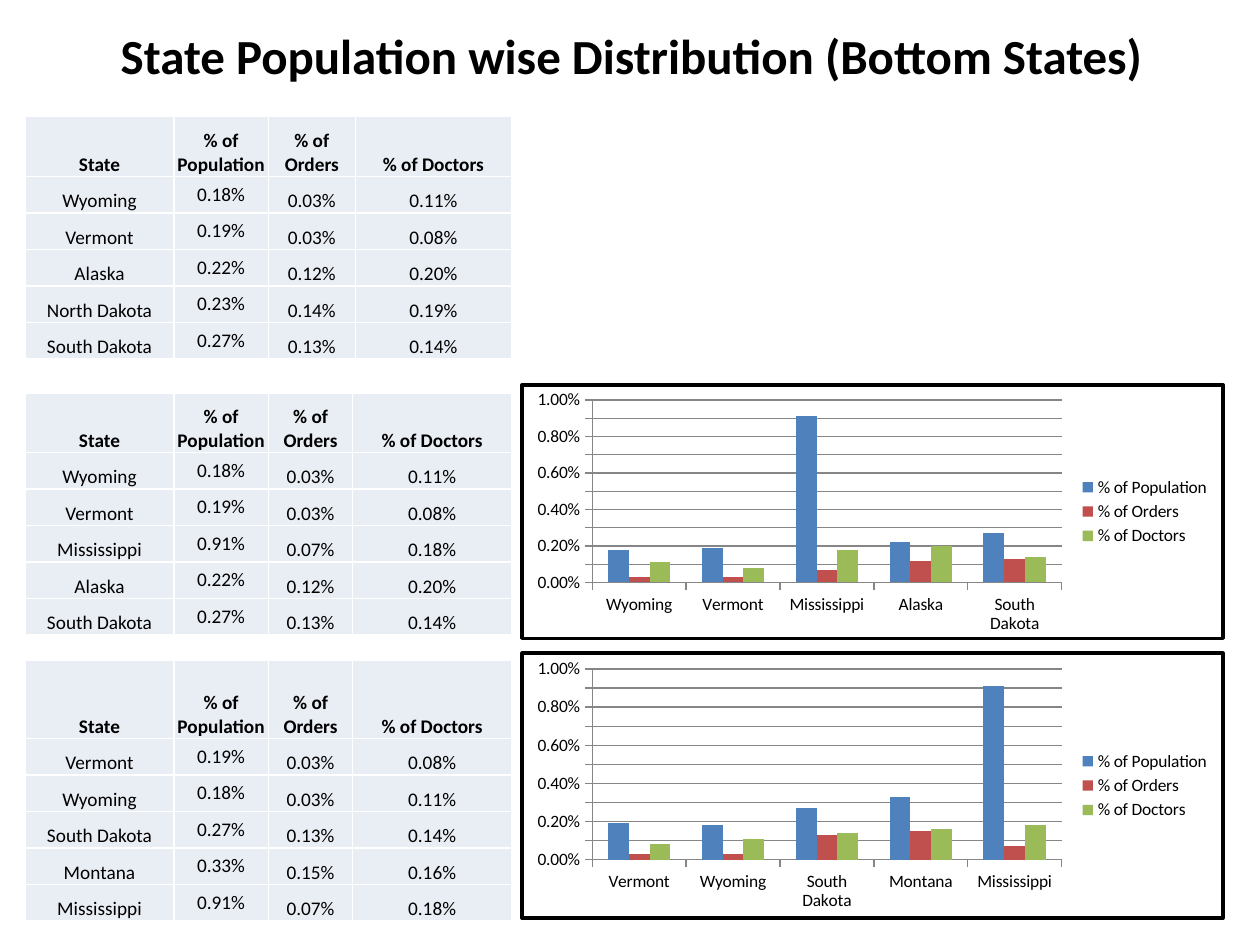
from lxml.etree import SubElement
from pptx import Presentation
from pptx.chart.data import CategoryChartData
from pptx.dml.color import RGBColor
from pptx.enum.chart import XL_CHART_TYPE, XL_LEGEND_POSITION, XL_TICK_MARK
from pptx.enum.text import MSO_ANCHOR, PP_ALIGN
from pptx.oxml import parse_xml
from pptx.oxml.ns import nsdecls, qn
from pptx.util import Inches, Pt


def rgb(value):
    return RGBColor.from_string(value)


def style_text(tf, size, bold):
    p = tf.paragraphs[0]
    p.alignment = PP_ALIGN.CENTER
    font = p.runs[0].font
    font.name, font.size, font.bold = "Calibri", Pt(size), bold
    font.color.rgb = rgb("000000")


HEADERS = ["State", "% of Population", "% of Orders", "% of Doctors"]
SERIES_COLORS = ["4F81BD", "C0504D", "9BBB59"]

# Percentages of population, orders and doctors
STATES = {
    "Wyoming": (0.18, 0.03, 0.11),
    "Vermont": (0.19, 0.03, 0.08),
    "Alaska": (0.22, 0.12, 0.20),
    "North Dakota": (0.23, 0.14, 0.19),
    "South Dakota": (0.27, 0.13, 0.14),
    "Mississippi": (0.91, 0.07, 0.18),
    "Montana": (0.33, 0.15, 0.16),
}

# Table top, header height, column widths, states, chart top and height
PANELS = [
    (0.92, 0.48, [1.18, 0.75, 0.69, 1.24],
     ["Wyoming", "Vermont", "Alaska", "North Dakota", "South Dakota"], None),
    (3.12, 0.47, [1.18, 0.75, 0.67, 1.26],
     ["Wyoming", "Vermont", "Mississippi", "Alaska", "South Dakota"], (3.04, 2.04)),
    (5.24, 0.62, [1.18, 0.75, 0.67, 1.26],
     ["Vermont", "Wyoming", "South Dakota", "Montana", "Mississippi"], (5.17, 2.13)),
]
ROW_HEIGHT = 0.29

prs = Presentation()
prs.slide_width, prs.slide_height = Inches(10), Inches(7.5)
s = prs.slides.add_slide(prs.slide_layouts[6])

# Title
sp = s.shapes.add_textbox(Inches(0.51), Inches(0.13), Inches(9), Inches(0.61))
tf = sp.text_frame
tf.word_wrap = True
tf.vertical_anchor = MSO_ANCHOR.MIDDLE
tf.text = "State Population wise Distribution (Bottom States)"
style_text(tf, 28, True)

for top, header_height, widths, states, chart_box in PANELS:
    # Table
    rows = [HEADERS] + [[name] + [f"{v:.2f}%" for v in STATES[name]] for name in states]
    heights = [header_height] + [ROW_HEIGHT] * len(states)
    table = s.shapes.add_table(
        len(rows), len(widths), Inches(0.2), Inches(top),
        Inches(sum(widths)), Inches(sum(heights))).table
    table.horz_banding = False
    for column, width in zip(table.columns, widths):
        column.width = Inches(width)
    for i, values in enumerate(rows):
        table.rows[i].height = Inches(heights[i])
        for j, value in enumerate(values):
            cell = table.cell(i, j)
            cell.text = value
            style_text(cell.text_frame, 11, i == 0)
            cell.vertical_anchor = MSO_ANCHOR.BOTTOM
            cell.margin_left = cell.margin_right = Inches(0.01)
            population = i > 0 and j == 1
            cell.margin_top = Inches(0.05 if population else 0.01)
            cell.margin_bottom = Inches(0.05 if population else 0)
            # White borders come before the fill in the cell properties
            tcPr = cell._tc.get_or_add_tcPr()
            for side in ("a:lnL", "a:lnR", "a:lnT", "a:lnB"):
                ln = SubElement(tcPr, qn(side), w=str(Pt(1)))
                SubElement(SubElement(ln, qn("a:solidFill")), qn("a:srgbClr"), val="FFFFFF")
            cell.fill.solid()
            cell.fill.fore_color.rgb = rgb("E9EDF4")

    if chart_box is None:
        continue

    # Chart of the same states
    data = CategoryChartData(number_format="0.00%")
    data.categories = states
    for k, name in enumerate(HEADERS[1:]):
        data.add_series(name, [round(STATES[state][k] / 100, 4) for state in states])
    chart_top, chart_height = chart_box
    chart = s.shapes.add_chart(
        XL_CHART_TYPE.COLUMN_CLUSTERED, Inches(4.13), Inches(chart_top),
        Inches(5.59), Inches(chart_height), data).chart
    chart.has_title = False
    chart.font.name, chart.font.size = "Calibri", Pt(10)
    chart.font.color.rgb = rgb("000000")
    chart.has_legend = True
    chart.legend.position = XL_LEGEND_POSITION.RIGHT
    chart.legend.include_in_layout = False

    plot = chart.plots[0]
    plot.gap_width, plot.overlap, plot.vary_by_categories = 150, 0, False
    for series, color in zip(plot.series, SERIES_COLORS):
        series.format.fill.solid()
        series.format.fill.fore_color.rgb = rgb(color)

    axis = chart.value_axis
    axis.minimum_scale, axis.maximum_scale, axis.major_unit = 0, 0.01, 0.001
    axis.tick_labels.number_format = "0.00%"
    axis.tick_labels.number_format_is_linked = False
    axis.has_major_gridlines = True
    for line in (axis.format.line, axis.major_gridlines.format.line,
                 chart.category_axis.format.line):
        line.color.rgb = rgb("868686")
        line.width = Pt(0.75)
    for ax in (axis, chart.category_axis):
        ax.major_tick_mark = XL_TICK_MARK.OUTSIDE

    # Plot position as fractions of the chart
    plot_area = chart._chartSpace.chart.plotArea
    for old in plot_area.findall(qn("c:layout")):
        plot_area.remove(old)
    layout = SubElement(plot_area, qn("c:layout"))
    plot_area.insert(0, layout)
    manual = SubElement(layout, qn("c:manualLayout"))
    for tag, val in [("layoutTarget", "inner"), ("xMode", "edge"), ("yMode", "edge"),
                     ("x", "0.1"), ("y", "0.06"), ("w", "0.67"), ("h", "0.72")]:
        SubElement(manual, qn("c:" + tag), val=val)

    # White chart area with a black border
    chart._chartSpace.chart.addnext(parse_xml(
        f'<c:spPr {nsdecls("c", "a")}>'
        '<a:solidFill><a:srgbClr val="FFFFFF"/></a:solidFill>'
        f'<a:ln w="{Pt(2)}"><a:solidFill><a:srgbClr val="000000"/></a:solidFill></a:ln>'
        '</c:spPr>'))

prs.save("out.pptx")
